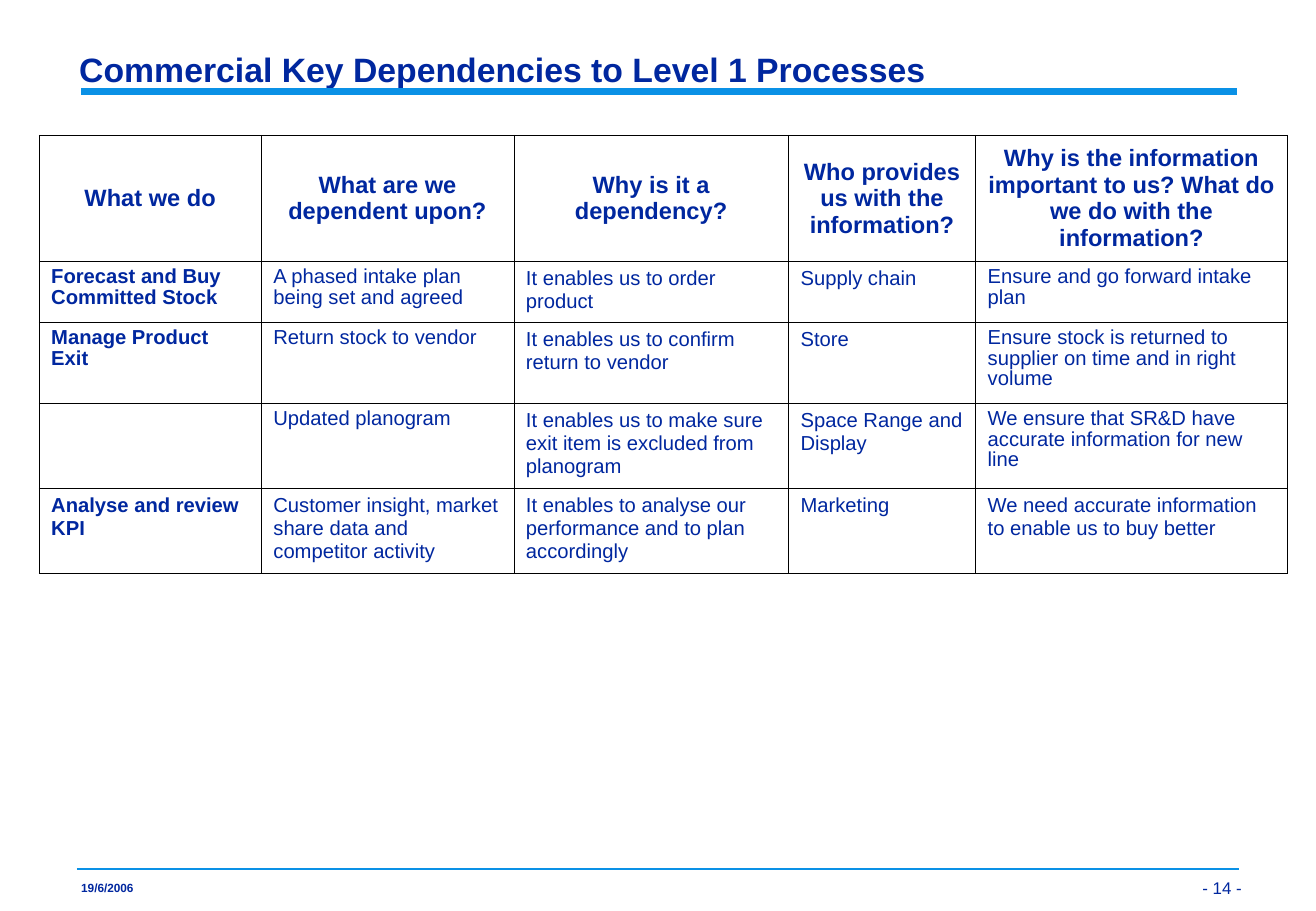
import pptx
import pptx.dml.color
import pptx.enum.shapes
import pptx.enum.text
import pptx.oxml
import pptx.util

Pt = pptx.util.Pt
ANCHOR = pptx.enum.text.MSO_ANCHOR
ALIGN = pptx.enum.text.PP_ALIGN

TITLE = "Commercial Key Dependencies to Level 1 Processes"
DATE = "19/6/2006"
PAGE_NUMBER = "- 14 -"
HEADINGS = (
    "What we do",
    "What are we dependent upon?",
    "Why is it a dependency?",
    "Who provides us with the information?",
    "Why is the information important to us? What do we do with the information?",
)
DEPENDENCIES = (
    ("Forecast and Buy Committed Stock", "A phased intake plan being set and agreed",
     "It enables us to order product", "Supply chain", "Ensure and go forward intake plan"),
    ("Manage Product Exit", "Return stock to vendor",
     "It enables us to confirm return to vendor", "Store",
     "Ensure stock is returned to supplier on time and in right volume"),
    ("", "Updated planogram",
     "It enables us to make sure exit item is excluded from planogram",
     "Space Range and Display", "We ensure that SR&D have accurate information for new line"),
    ("Analyse and review KPI", "Customer insight, market share data and competitor activity",
     "It enables to analyse our performance and to plan accordingly", "Marketing",
     "We need accurate information to enable us to buy better"),
)

THEME = {
    "font": "Arial",
    "text": pptx.dml.color.RGBColor.from_string("00279F"),
    "rule": pptx.dml.color.RGBColor.from_string("0A91E6"),
    "cell": pptx.dml.color.RGBColor.from_string("FFFFFF"),
    "border": "000000",
    "border_width": 0.45,
    "title_size": 20,
    "heading_size": 14,
    "body_size": 12,
    "page_size": 10,
    "date_size": 7,
}

SLIDE_WIDTH, SLIDE_HEIGHT = 780.48, 540
TABLE_LEFT, TABLE_TOP = 23.2, 80.2
COLUMN_WIDTHS = (131.8, 149.8, 162.9, 111, 185)
ROW_HEIGHTS = (74.8, 36.2, 47.9, 50.4, 50.4)
TIGHT_COLUMNS = (0, 1, 4)
TIGHT_ROWS = (1, 2, 3)
TIGHT_SPACING = 0.9


def apply_format(target, values):
    for name, value in values.items():
        setattr(target, name, value)


def write(frame, text, size, bold=False, **paragraph_format):
    frame.text = text
    paragraph = frame.paragraphs[0]
    apply_format(paragraph, {"space_before": Pt(0), **paragraph_format})
    apply_format(paragraph.font, {"name": THEME["font"], "size": Pt(size), "bold": bold})
    paragraph.font.color.rgb = THEME["text"]


def set_frame(frame, horizontal, vertical, **frame_format):
    apply_format(frame, {
        "margin_left": Pt(horizontal), "margin_right": Pt(horizontal),
        "margin_top": Pt(vertical), "margin_bottom": Pt(vertical), **frame_format})


def add_rule(slide, left, right, y, width):
    rule = slide.shapes.add_connector(
        pptx.enum.shapes.MSO_CONNECTOR.STRAIGHT, Pt(left), Pt(y), Pt(right), Pt(y))
    rule.line.color.rgb = THEME["rule"]
    rule.line.width = Pt(width)
    rule._element.spPr.append(pptx.oxml.parse_xml(
        '<a:effectLst xmlns:a="http://schemas.openxmlformats.org/drawingml/2006/main"/>'))


def add_borders(cell):
    """Outline a cell; borders must precede its fill in the XML."""
    properties = cell._tc.get_or_add_tcPr()
    for position, side in enumerate(("lnL", "lnR", "lnT", "lnB")):
        properties.insert(position, pptx.oxml.parse_xml(
            f'<a:{side} xmlns:a="http://schemas.openxmlformats.org/drawingml/2006/main" '
            f'w="{Pt(THEME["border_width"])}"><a:solidFill>'
            f'<a:srgbClr val="{THEME["border"]}"/></a:solidFill></a:{side}>'))


def add_title(slide):
    title = slide.shapes.title
    apply_format(title, {"left": Pt(42), "top": Pt(24), "width": Pt(693.4), "height": Pt(32)})
    set_frame(title.text_frame, 5, 2.2, vertical_anchor=ANCHOR.BOTTOM, word_wrap=True,
              auto_size=pptx.enum.text.MSO_AUTO_SIZE.NONE)
    write(title.text_frame, TITLE, THEME["title_size"], bold=True,
          alignment=ALIGN.LEFT, line_spacing=0.97)


def add_dependency_table(slide):
    rows = (HEADINGS, *DEPENDENCIES)
    dependencies = slide.shapes.add_table(
        len(rows), len(HEADINGS), Pt(TABLE_LEFT), Pt(TABLE_TOP),
        Pt(sum(COLUMN_WIDTHS)), Pt(sum(ROW_HEIGHTS))).table
    apply_format(dependencies, {"first_row": False, "horz_banding": False})
    for column, width in zip(dependencies.columns, COLUMN_WIDTHS):
        column.width = Pt(width)
    for row, height in zip(dependencies.rows, ROW_HEIGHTS):
        row.height = Pt(height)
    for r, row in enumerate(rows):
        for c, text in enumerate(row):
            cell = dependencies.cell(r, c)
            heading = r == 0
            tight = r in TIGHT_ROWS and c in TIGHT_COLUMNS
            cell.fill.solid()
            cell.fill.fore_color.rgb = THEME["cell"]
            cell.vertical_anchor = ANCHOR.MIDDLE if heading else ANCHOR.TOP
            write(cell.text_frame, text, THEME["heading_size" if heading else "body_size"],
                  bold=heading or c == 0,
                  alignment=ALIGN.CENTER if heading else ALIGN.LEFT,
                  line_spacing=TIGHT_SPACING if tight else 1.0)
            add_borders(cell)


def add_footer(slide):
    page = slide.shapes.add_textbox(Pt(698.2), Pt(506.2), Pt(43.2), Pt(28)).text_frame
    set_frame(page, 5, 2.2, vertical_anchor=ANCHOR.BOTTOM, word_wrap=True)
    write(page, PAGE_NUMBER, THEME["page_size"], alignment=ALIGN.RIGHT)
    date = slide.shapes.add_textbox(Pt(48.2), Pt(522.8), Pt(31), Pt(8)).text_frame
    set_frame(date, 0, 0, word_wrap=False)
    write(date, DATE, THEME["date_size"], bold=True, line_spacing=TIGHT_SPACING)


def main():
    deck = pptx.Presentation()
    deck.slide_width = Pt(SLIDE_WIDTH)
    deck.slide_height = Pt(SLIDE_HEIGHT)
    slide = deck.slides.add_slide(deck.slide_layouts[5])
    add_rule(slide, 48.2, 733.8, 54.1, 4)
    add_rule(slide, 45.6, 734.6, 515.1, 1)
    add_title(slide)
    add_dependency_table(slide)
    add_footer(slide)
    deck.save("out.pptx")


if __name__ == "__main__":
    main()
